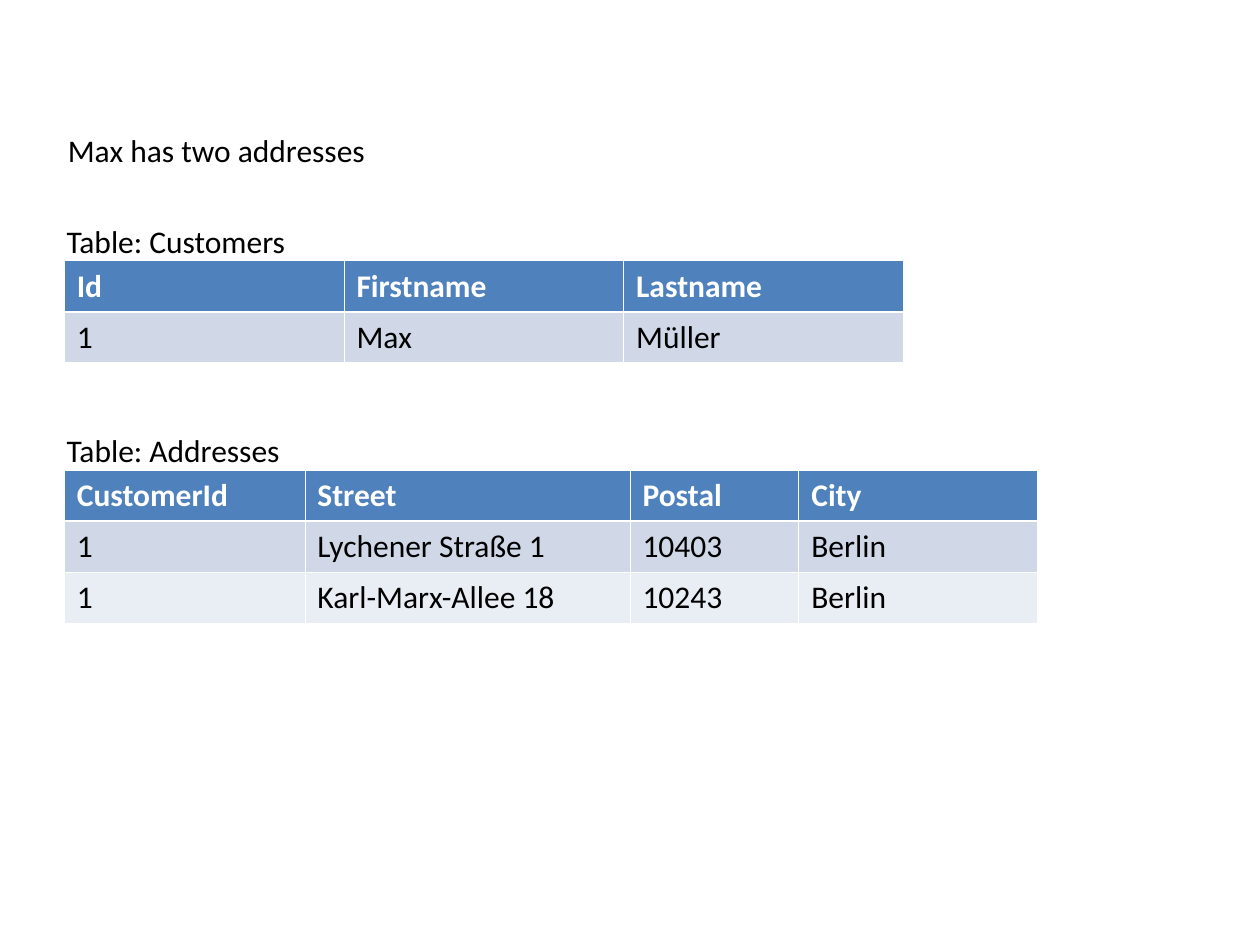
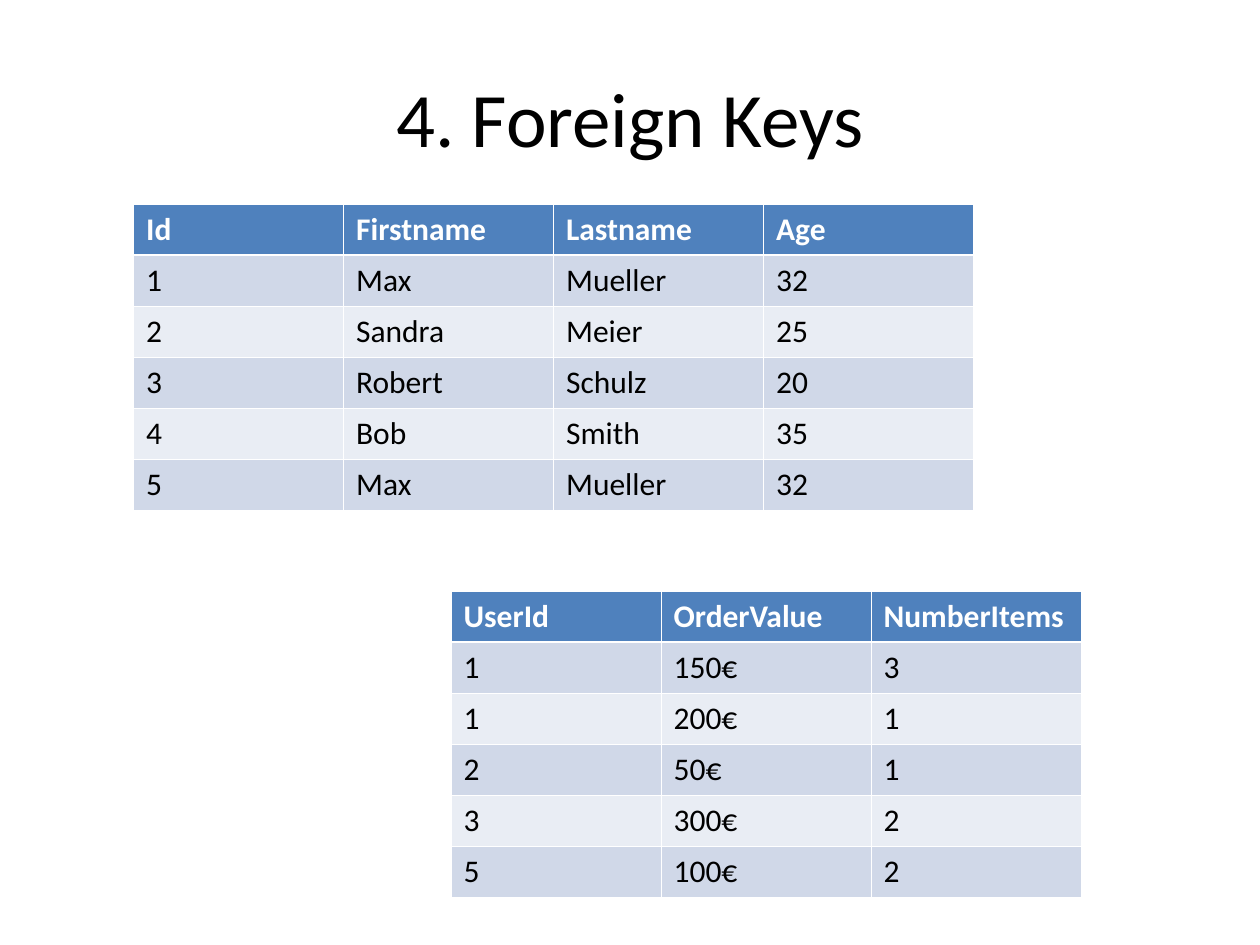
from dataclasses import dataclass

from lxml import etree
from pptx import Presentation
from pptx.dml.color import RGBColor
from pptx.enum import text as t
from pptx.oxml import ns
from pptx.util import Inches, Pt

# Shared style
COLORS = {
    "text": "000000",
    "header": "4F81BD",
    "header_text": "FFFFFF",
    "odd_row": "D0D8E8",
    "even_row": "E9EDF4",
    "border": "FFFFFF",
}
FONT = "Calibri"
BODY_SIZE = 18
TITLE_SIZE = 44
ROW_HEIGHT = 0.405
THIN, THICK = 0.45, 1.47


@dataclass
class Label:
    text: str
    left: float
    top: float
    width: float
    height: float = 0.4
    size: int = BODY_SIZE
    is_title: bool = False


@dataclass
class DataTable:
    left: float
    top: float
    widths: list[float]
    rows: list[list[str]]  # the first row is the header


def style_font(paragraph, size: int, color: str, bold: bool = False) -> None:
    font = paragraph.font
    font.name, font.size, font.bold = FONT, Pt(size), bold
    font.color.rgb = RGBColor.from_string(COLORS[color])


def draw_label(slide, label: Label) -> None:
    box = slide.shapes.add_textbox(
        Inches(label.left), Inches(label.top), Inches(label.width), Inches(label.height))
    frame = box.text_frame
    frame.word_wrap = label.is_title
    paragraph = frame.paragraphs[0]
    paragraph.text = label.text
    style_font(paragraph, label.size, "text")
    if label.is_title:
        frame.vertical_anchor = t.MSO_ANCHOR.MIDDLE
        paragraph.alignment = t.PP_ALIGN.CENTER
    else:
        frame.auto_size = t.MSO_AUTO_SIZE.SHAPE_TO_FIT_TEXT


def set_borders(cell, row: int) -> None:
    """Thin white borders, with a thick rule between header and body."""
    points = {
        "L": THIN,
        "R": THIN,
        "T": THICK if row == 1 else THIN,
        "B": THICK if row == 0 else THIN,
    }
    properties = cell._tc.get_or_add_tcPr()
    for position, (side, width) in enumerate(points.items()):
        line = etree.Element(ns.qn(f"a:ln{side}"), w=str(int(Pt(width))))
        fill = etree.SubElement(line, ns.qn("a:solidFill"))
        etree.SubElement(fill, ns.qn("a:srgbClr"), val=COLORS["border"])
        properties.insert(position, line)


def draw_table(slide, data: DataTable) -> None:
    table = slide.shapes.add_table(
        len(data.rows), len(data.widths), Inches(data.left), Inches(data.top),
        Inches(sum(data.widths)), Inches(ROW_HEIGHT * len(data.rows))).table
    for column, width in zip(table.columns, data.widths):
        column.width = Inches(width)
    for r, values in enumerate(data.rows):
        is_header = r == 0
        fill = "header" if is_header else "odd_row" if r % 2 else "even_row"
        for c, value in enumerate(values):
            cell = table.cell(r, c)
            cell.text = value
            cell.fill.solid()
            cell.fill.fore_color.rgb = RGBColor.from_string(COLORS[fill])
            style_font(cell.text_frame.paragraphs[0], BODY_SIZE,
                       "header_text" if is_header else "text", is_header)
            set_borders(cell, r)


# Slide 1: one customer with two addresses
ADDRESS_LABELS = [
    Label("Max has two addresses", 0.44, 0.99, 2.56),
    Label("Table: Customers", 0.43, 1.71, 1.96),
    Label("Table: Addresses", 0.43, 3.37, 1.91),
]
ADDRESS_TABLES = [
    DataTable(0.51, 2.07, [2.22] * 3, [
        ["Id", "Firstname", "Lastname"],
        ["1", "Max", "Müller"],
    ]),
    DataTable(0.51, 3.73, [1.91, 2.58, 1.34, 1.89], [
        ["CustomerId", "Street", "Postal", "City"],
        ["1", "Lychener Straße 1", "10403", "Berlin"],
        ["1", "Karl-Marx-Allee 18", "10243", "Berlin"],
    ]),
]

# Slide 2: users and their orders
KEY_LABELS = [Label("4. Foreign Keys", 0.5, 0.3, 9, 1.25, TITLE_SIZE, True)]
KEY_TABLES = [
    DataTable(1.06, 1.62, [5 / 3] * 4, [
        ["Id", "Firstname", "Lastname", "Age"],
        ["1", "Max", "Mueller", "32"],
        ["2", "Sandra", "Meier", "25"],
        ["3", "Robert", "Schulz", "20"],
        ["4", "Bob", "Smith", "35"],
        ["5", "Max", "Mueller", "32"],
    ]),
    DataTable(3.58, 4.69, [5 / 3] * 3, [
        ["UserId", "OrderValue", "NumberItems"],
        ["1", "150€", "3"],
        ["1", "200€", "1"],
        ["2", "50€", "1"],
        ["3", "300€", "2"],
        ["5", "100€", "2"],
    ]),
]

presentation = Presentation()
presentation.slide_width, presentation.slide_height = Inches(10), Inches(7.5)
blank_layout = presentation.slide_layouts[6]

for labels, tables in [(ADDRESS_LABELS, ADDRESS_TABLES), (KEY_LABELS, KEY_TABLES)]:
    slide = presentation.slides.add_slide(blank_layout)
    for label in labels:
        draw_label(slide, label)
    for data in tables:
        draw_table(slide, data)

presentation.save("out.pptx")
